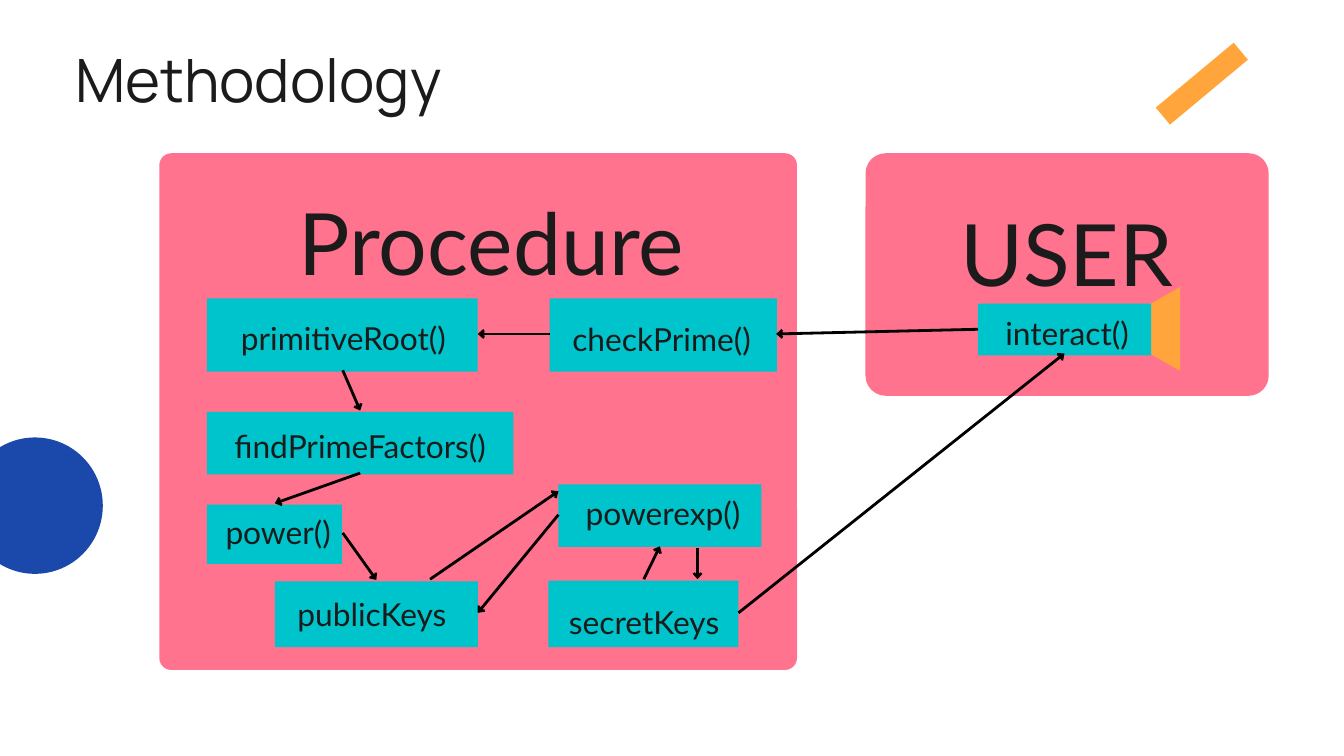
from lxml import etree
from pptx import Presentation
from pptx.dml.color import RGBColor
from pptx.enum.shapes import MSO_CONNECTOR, MSO_SHAPE
from pptx.enum.text import PP_ALIGN
from pptx.oxml.ns import qn
from pptx.util import Inches, Pt

RECT, ROUND = MSO_SHAPE.RECTANGLE, MSO_SHAPE.ROUNDED_RECTANGLE
OVAL, TRIANGLE = MSO_SHAPE.OVAL, MSO_SHAPE.ISOSCELES_TRIANGLE
STRAIGHT = MSO_CONNECTOR.STRAIGHT
LEFT, CENTER = PP_ALIGN.LEFT, PP_ALIGN.CENTER

INK, BLACK = "1B1B1B", "000000"
BLUE, ORANGE, PINK, TEAL = "1B48AB", "FFA53B", "FF738E", "00C4CC"

# Frames are left, top, width, height in inches
DECOR = [  # shape, frame, rotation, colour
    (OVAL, (-0.49, 6.51, 2.02, 2.03), 0, BLUE),
    (RECT, (17.13, 1.08, 1.51, 0.33), 320.2, ORANGE),
]
PANELS = [  # frame, corner radius
    ((2.37, 2.28, 9.49, 7.69), 0.18),
    ((12.88, 2.28, 6, 3.61), 0.3),
]
POINTER = (16.39, 4.35, 1.25, 1.09)

STEPS = [  # function, box frame, label frame
    ("interact()", (14.55, 4.52, 2.58, 0.77), (14.55, 4.57, 2.66, 0.63)),
    ("checkPrime()", (8.18, 4.44, 3.38, 1.09), (8.36, 4.67, 2.97, 0.63)),
    ("primitiveRoot()", (3.08, 4.44, 4.03, 1.09), (3.34, 4.65, 3.54, 0.67)),
    ("findPrimeFactors()", (3.08, 6.13, 4.56, 0.93), (3.08, 6.26, 4.56, 0.63)),
    ("power()", (3.08, 7.51, 2.01, 0.88), (3.27, 7.54, 1.74, 0.63)),
    ("publicKeys", (4.09, 8.65, 3.02, 0.98), (4.29, 8.76, 2.49, 0.63)),
    ("secretKeys", (8.16, 8.64, 2.83, 0.99), (8.18, 8.87, 2.81, 0.63)),
    ("powerexp()", (8.31, 7.21, 3.02, 0.93), (8.59, 7.26, 2.55, 0.63)),
]
ARROWS = [  # x1, y1, x2, y2
    (14.55, 4.9, 11.55, 4.97),   # interact -> checkPrime
    (8.18, 4.97, 7.11, 4.97),    # checkPrime -> primitiveRoot
    (5.1, 5.51, 5.36, 6.11),     # primitiveRoot -> findPrimeFactors
    (5.36, 7.04, 4.09, 7.49),    # findPrimeFactors -> power
    (5.1, 7.93, 5.6, 8.63),      # power -> publicKeys
    (6.4, 8.62, 8.31, 7.31),     # publicKeys -> powerexp
    (9.58, 8.62, 9.82, 8.13),    # secretKeys -> powerexp
    (10.99, 9.12, 15.84, 5.26),  # secretKeys -> interact
    (8.31, 7.66, 7.11, 9.12),    # powerexp -> publicKeys
    (10.38, 8.15, 10.38, 8.62),  # powerexp -> secretKeys
]
HEADINGS = [  # text, frame, size, line spacing, font, alignment
    ("Methodology", (1.12, 0.56, 15.67, 1.13), 64, 82.6, "Manrope", LEFT),
    ("USER", (14.18, 2.73, 3.39, 1.71), 92, 128.8, "Lato", CENTER),
    ("Procedure", (3.84, 2.56, 6.94, 1.81), 92, 128.8, "Lato", CENTER),
]


def rgb(color):
    return RGBColor.from_string(color)


def add_block(s, kind, frame, color, rotation=0):
    sp = s.shapes.add_shape(kind, *map(Inches, frame))
    sp.shadow.inherit = False
    sp.fill.solid()
    sp.fill.fore_color.rgb = rgb(color)
    sp.line.fill.background()
    sp.rotation = rotation
    return sp


def add_text(s, text, frame, size=34, spacing=47.6, font="Lato", align=CENTER):
    tf = s.shapes.add_textbox(*map(Inches, frame)).text_frame
    frame_format = dict(word_wrap=True, margin_left=0, margin_top=0,
                        margin_right=0, margin_bottom=0)
    for name, value in frame_format.items():
        setattr(tf, name, value)
    p = tf.paragraphs[0]
    p.alignment, p.line_spacing = align, Pt(spacing)
    r = p.add_run()
    r.text = text
    for name, value in dict(name=font, size=Pt(size)).items():
        setattr(r.font, name, value)
    r.font.color.rgb = rgb(INK)


def add_arrow(s, ends):
    c = s.shapes.add_connector(STRAIGHT, *map(Inches, ends))
    c.line.color.rgb = rgb(BLACK)
    c.line.width = Pt(3)
    etree.SubElement(c.line._get_or_add_ln(), qn("a:tailEnd"),
                     type="arrow", w="med", len="sm")
    etree.SubElement(c._element.spPr, qn("a:effectLst"))


def main():
    prs = Presentation()
    prs.slide_width, prs.slide_height = Inches(20), Inches(11.25)
    s = prs.slides.add_slide(prs.slide_layouts[6])

    # Decoration and panels
    for kind, frame, rotation, color in DECOR:
        add_block(s, kind, frame, color, rotation)
    for frame, radius in PANELS:
        panel = add_block(s, ROUND, frame, PINK)
        panel.adjustments[0] = radius / min(frame[2:])
    add_block(s, TRIANGLE, POINTER, ORANGE, 270)

    # Flow: boxes, arrows, then labels on top
    for _, box, _ in STEPS:
        add_block(s, RECT, box, TEAL)
    for ends in ARROWS:
        add_arrow(s, ends)
    for name, _, label in STEPS:
        add_text(s, name, label)

    # Title and panel headings
    for heading in HEADINGS:
        add_text(s, *heading)

    prs.save("out.pptx")


if __name__ == "__main__":
    main()
